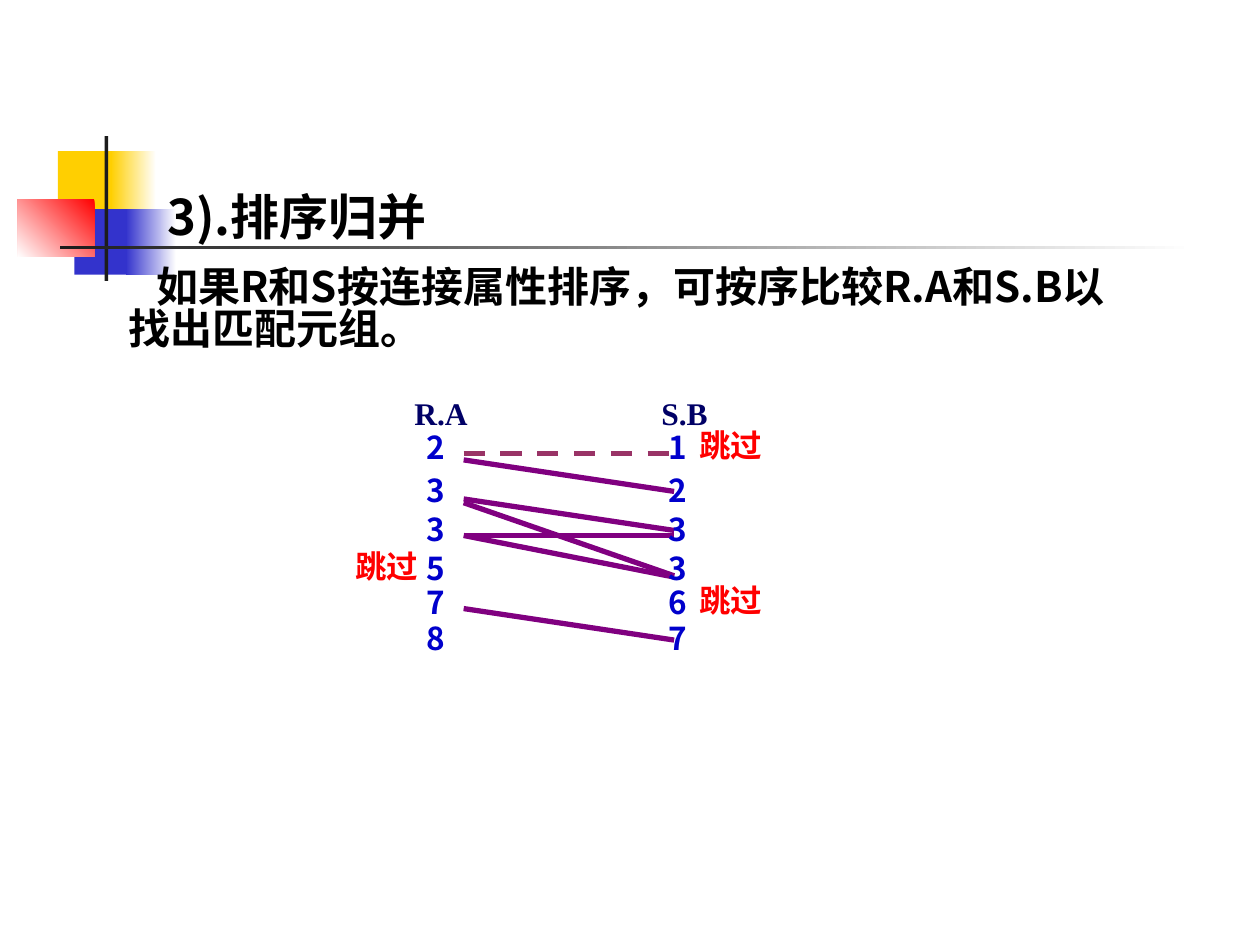
from lxml import etree
from pptx import Presentation
from pptx import util as u
from pptx.dml.color import RGBColor
from pptx.enum import dml, shapes, text
from pptx.oxml.ns import qn

SANS, SERIF = "Noto Sans CJK SC", "Times New Roman"
TITLE = "3).排序归并"
BODY = "如果R和S按连接属性排序，可按序比较R.A和S.B以找出匹配元组。"

ORNAMENT = [
    ((0.46, 1.2, 0.48, 0.52), ["FFCF01"], 0),
    ((0.88, 1.2, 0.36, 0.52), ["FFFFFF", "FFCF01"], 180),
    ((0.59, 1.66, 0.46, 0.52), ["3333CC"], 0),
    ((1, 1.66, 0.4, 0.52), ["FFFFFF", "3333CC"], 180),
    ((0.14, 1.58, 0.61, 0.46), ["FF0000", "FFFFFF"], 225),
    ((0.83, 1.08, 0.03, 1.15), ["1C1C1C"], 0),
    ((0.48, 1.95, 9, 0.03), ["FFFFFF", "1C1C1C"], 180),
]

ROW_TOPS = [3.4, 3.74, 4.05, 4.36, 4.63, 4.91]
HEADER_TOP = 3.08
RELATIONS = [
    {"name": "R.A", "header_left": 3.19, "left": 3.29, "line_x": 3.68,
     "values": [2, 3, 3, 5, 7, 8], "skip_left": 2.72, "skipped": [3]},
    {"name": "S.B", "header_left": 5.15, "left": 5.21, "line_x": 5.35,
     "values": [1, 2, 3, 3, 6, 7], "skip_left": 5.45, "skipped": [0, 4]},
]
SKIP = "跳过"
MATCHES = [
    (0, 1, 0.25, 0.16), (1, 2, 0.22, 0.16), (1, 3, 0.25, 0.21),
    (2, 2, 0.2, 0.2), (2, 3, 0.2, 0.22), (4, 5, 0.2, 0.17),
]
MISMATCH = (0, 0, 0.2, 0.2)


def rgb(value):
    return RGBColor.from_string(value)


def inches(lengths):
    return [u.Inches(length) for length in lengths]


def write(shape, words, size, color, font=SANS, **frame_format):
    frame = shape.text_frame
    frame.text = words
    settings = {"word_wrap": True, "auto_size": text.MSO_AUTO_SIZE.NONE,
                "vertical_anchor": text.MSO_ANCHOR.TOP, **frame_format}
    for key, value in settings.items():
        setattr(frame, key, value)
    paragraph = frame.paragraphs[0]
    paragraph.alignment = text.PP_ALIGN.LEFT
    paragraph.space_before = u.Pt(0)
    if font == SANS:
        paragraph.line_spacing = 0.84
    run = paragraph.runs[0]
    for key, value in {"name": font, "size": u.Pt(size), "bold": True}.items():
        setattr(run.font, key, value)
    run.font.color.rgb = rgb(color)
    etree.SubElement(run.font._element, qn("a:ea"), typeface=font)
    return paragraph


def place(shape, box):
    for key, value in zip(("left", "top", "width", "height"), inches(box)):
        setattr(shape, key, value)


def block(slide, box, colors, angle):
    shape = slide.shapes.add_shape(shapes.MSO_SHAPE.RECTANGLE, *inches(box))
    shape.shadow.inherit = False
    shape.line.fill.background()
    if len(colors) == 1:
        shape.fill.solid()
        shape.fill.fore_color.rgb = rgb(colors[0])
        return
    shape.fill.gradient()
    shape.fill.gradient_angle = angle
    for stop, color, position in zip(shape.fill.gradient_stops, colors, (0, 1)):
        stop.color.rgb = rgb(color)
        stop.position = position


def label(slide, left, top, words, color, font=SANS):
    box = slide.shapes.add_textbox(*inches((left, top, 0.85, 0.32)))
    write(box, words, 18, color, font)


def link(slide, match, color, dash=None):
    r_row, s_row, r_drop, s_drop = match
    r_side, s_side = RELATIONS
    line = slide.shapes.add_connector(
        shapes.MSO_CONNECTOR.STRAIGHT,
        *inches((r_side["line_x"], ROW_TOPS[r_row] + r_drop,
                 s_side["line_x"], ROW_TOPS[s_row] + s_drop)))
    line.line.color.rgb = rgb(color)
    line.line.width = u.Pt(3)
    line.line.dash_style = dash
    etree.SubElement(line._element.spPr, qn("a:effectLst"))


def main():
    deck = Presentation()
    deck.slide_width, deck.slide_height = inches((10, 7.5))
    slide = deck.slides.add_slide(deck.slide_layouts[1])
    title, body = slide.placeholders

    for box, colors, angle in ORNAMENT:
        block(slide, box, colors, angle)
    for holder in (title, body):
        slide.shapes._spTree.append(holder._element)

    place(title, (1.23, 0.75, 8.52, 1.25))
    write(title, TITLE, 28, "000000", vertical_anchor=text.MSO_ANCHOR.BOTTOM)
    place(body, (0.92, 2.08, 8.17, 0.9))
    paragraph = write(body, BODY, 24, "000000")
    properties = paragraph._p.get_or_add_pPr()
    properties.set("marL", "0")
    properties.set("indent", str(u.Inches(0.22)))
    etree.SubElement(properties, qn("a:buNone"))

    for match in MATCHES:
        link(slide, match, "800080")
    link(slide, MISMATCH, "993366", dml.MSO_LINE.DASH)

    for side in RELATIONS:
        label(slide, side["header_left"], HEADER_TOP, side["name"], "000066", SERIF)
        for top, value in zip(ROW_TOPS, side["values"]):
            label(slide, side["left"], top, str(value), "0000CC")
        for row in side["skipped"]:
            label(slide, side["skip_left"], ROW_TOPS[row] - 0.02, SKIP, "FF0000")

    deck.save("out.pptx")


if __name__ == "__main__":
    main()
